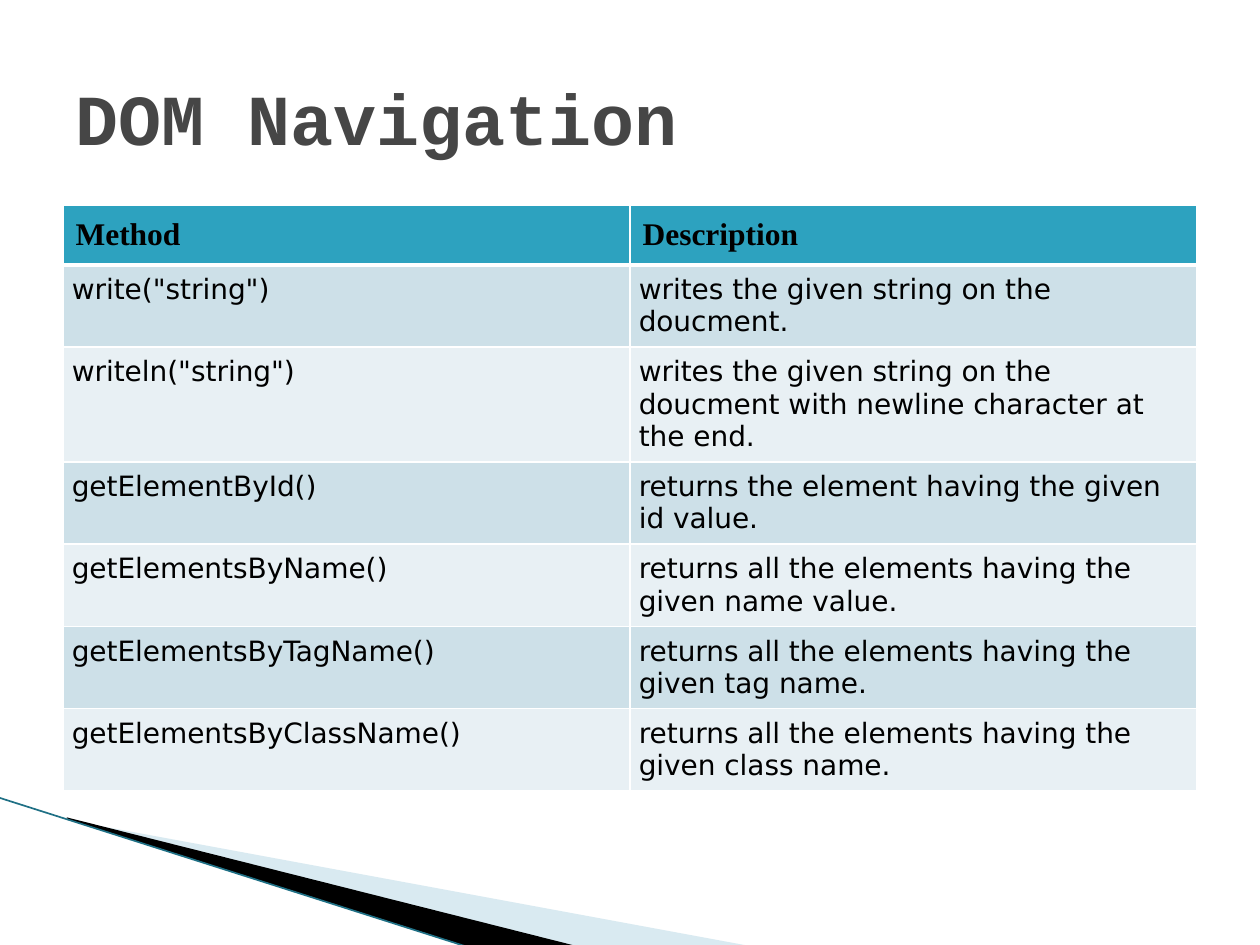
from lxml.etree import SubElement
from pptx import Presentation
from pptx.dml.color import RGBColor as RGB
from pptx.enum.shapes import MSO_CONNECTOR as CONN
from pptx.enum.text import MSO_ANCHOR as ANCHOR
from pptx.oxml.ns import qn
from pptx.util import Inches, Pt

W, H = Inches(10), Inches(7.5)
COLORS = {
    "title": "464646", "text": "000000", "header": "2DA2BF",
    "odd": "CDE0E8", "even": "E8F0F4", "border": "FFFFFF",
    "pale": "A0CBDC", "dark": "000000", "edge": "1F7085",
}
ROWS = [
    ("Method", "Description"),
    ('write("string")', "writes the given string on the doucment."),
    ('writeln("string")', "writes the given string on the doucment "
     "with newline character at the end."),
    ("getElementById()", "returns the element having the given id value."),
    ("getElementsByName()",
     "returns all the elements having the given name value."),
    ("getElementsByTagName()",
     "returns all the elements having the given tag name."),
    ("getElementsByClassName()",
     "returns all the elements having the given class name."),
]


def px(share):
    return int(W * share / 100)


def py(share):
    return int(H * share / 100)


def rgb(name):
    return RGB.from_string(COLORS[name])


def set_text(tf, text, font, size, color, bold=False):
    tf.text = text
    for r in tf.paragraphs[0].runs:
        r.font.name, r.font.size, r.font.bold = font, Pt(size), bold
        r.font.color.rgb = rgb(color)


def add_wedge(slide, points, color, alpha=100):
    pts = [(px(x), py(y)) for x, y in points]
    fb = slide.shapes.build_freeform(*pts[0])
    fb.add_line_segments(pts[1:], close=True)
    sp = fb.convert_to_shape()
    sp.shadow.inherit = False
    sp.fill.solid()
    sp.fill.fore_color.rgb = rgb(color)
    sp.line.fill.background()
    if alpha < 100:
        clr = sp.fill._xPr.find(qn("a:solidFill"))[0]
        SubElement(clr, qn("a:alpha"), val=str(alpha * 1000))


def add_edge(slide, start, end):
    line = slide.shapes.add_connector(
        CONN.STRAIGHT, px(start[0]), py(start[1]), px(end[0]), py(end[1]))
    line.line.color.rgb = rgb("edge")
    line.line.width = Pt(0.95)
    SubElement(line._element.spPr, qn("a:effectLst"))


def add_title(slide, text):
    sp = slide.shapes.add_textbox(px(5), py(4), px(90), py(16.67))
    tf = sp.text_frame
    tf.word_wrap = True
    tf.vertical_anchor = ANCHOR.MIDDLE
    set_text(tf, text, "Courier New", 41, "title", True)


def set_borders(cell, widths):
    tc_pr = cell._tc.get_or_add_tcPr()
    for i, (side, width) in enumerate(widths.items()):
        ln = tc_pr.makeelement(qn(f"a:ln{side}"), {"w": str(Pt(width))})
        fill = SubElement(ln, qn("a:solidFill"))
        SubElement(fill, qn("a:srgbClr"), val=COLORS["border"])
        tc_pr.insert(i, ln)


def fill_cell(cell, text, row):
    header = row == 0
    inset = Inches(0.1 if header else 0.07)
    cell.margin_left = cell.margin_right = inset
    cell.margin_top = cell.margin_bottom = inset
    cell.fill.solid()
    band = "odd" if row % 2 else "even"
    cell.fill.fore_color.rgb = rgb("header" if header else band)
    font, size = ("Times New Roman", 18) if header else ("DejaVu Sans", 16)
    set_text(cell.text_frame, text, font, size, "text", header)
    set_borders(cell, {"L": 1, "R": 1, "T": 3 if row == 1 else 1,
                       "B": 3 if header else 1})


def add_method_table(slide, rows):
    row_h = Inches(0.41)
    table = slide.shapes.add_table(
        len(rows), len(rows[0]), px(5), py(21.67), px(90),
        row_h * len(rows)).table
    for i, texts in enumerate(rows):
        table.rows[i].height = row_h
        for j, text in enumerate(texts):
            fill_cell(table.cell(i, j), text, i)


def main():
    prs = Presentation()
    prs.slide_width, prs.slide_height = W, H
    slide = prs.slides.add_slide(prs.slide_layouts[6])
    add_wedge(slide, [(5.5, 86.8), (59.5, 100.1), (45.6, 100.1),
                      (5.5, 86.7)], "pale", 40)
    add_wedge(slide, [(5.3, 86.5), (45.7, 100.1), (37.2, 100.2),
                      (5.4, 86.7)], "dark")
    add_edge(slide, (-0.1, 84.4), (37.1, 100.2))
    add_method_table(slide, ROWS)
    add_title(slide, "DOM Navigation")
    prs.save("out.pptx")


main()
